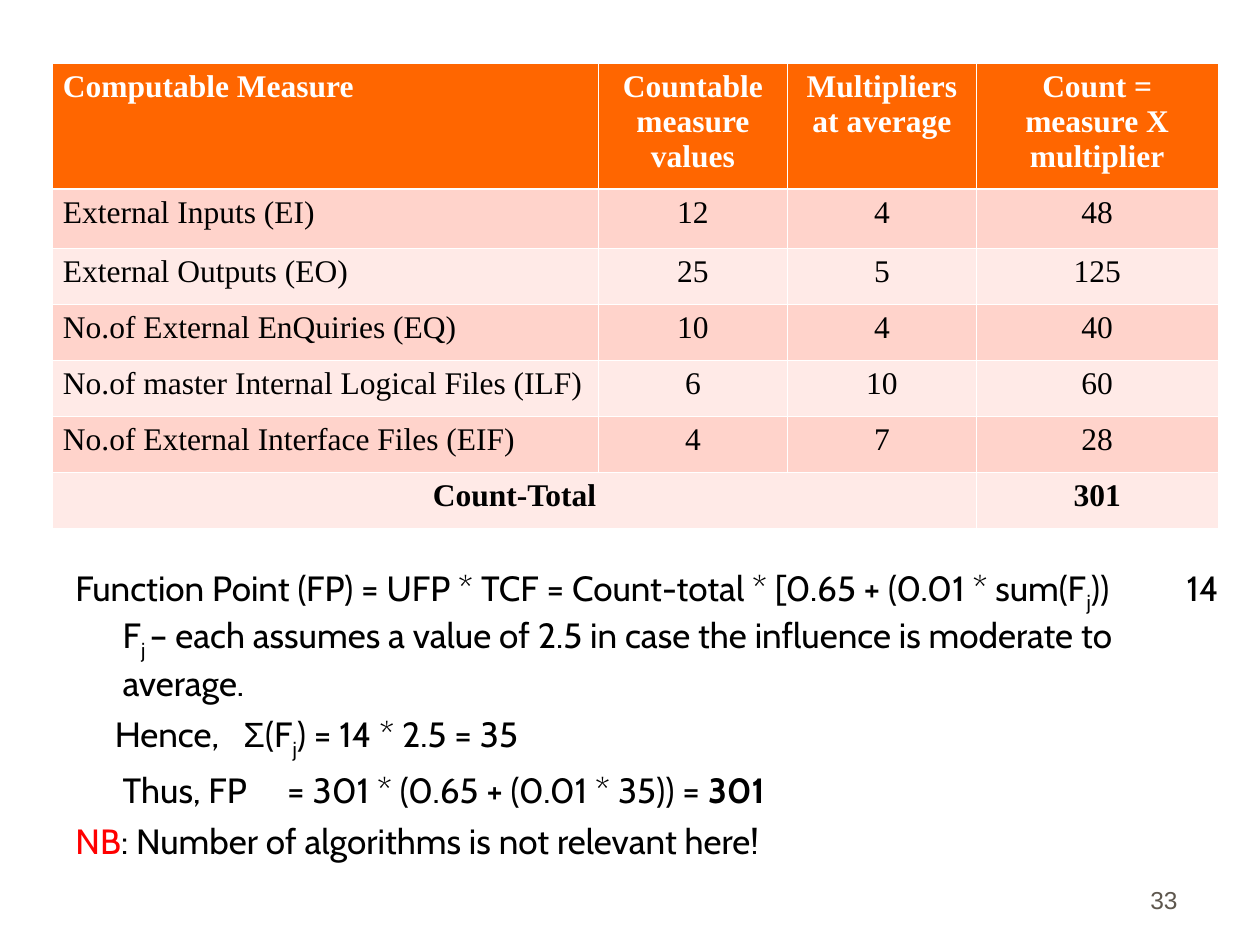
from lxml import etree
from pptx import Presentation, util as u
from pptx.dml import color as c
from pptx.enum import text as t
from pptx.oxml import ns

BLACK, WHITE, RED, GREY = "000000", "FFFFFF", "FF0000", "5E574E"
ORANGE, PINK, PALE = "FF6600", "FFD3CB", "FFEAE7"
LEFT, CENTER, RIGHT = t.PP_ALIGN.LEFT, t.PP_ALIGN.CENTER, t.PP_ALIGN.RIGHT

COLUMNS = [312, 108, 108, 138]
ROWS = [70, 34] + [32] * 5
MEASURES = [
    ["Computable Measure", "Countable measure values", "Multipliers at average",
     "Count = measure X multiplier"],
    ["External Inputs (EI)", "12", "4", "48"],
    ["External Outputs (EO)", "25", "5", "125"],
    ["No.of External EnQuiries (EQ)", "10", "4", "40"],
    ["No.of master Internal Logical Files (ILF)", "6", "10", "60"],
    ["No.of External Interface Files (EIF)", "4", "7", "28"],
    ["Count-Total", "", "", "301"],
]

SUB_J = ("j", {"sub": True})
# Each line: space before, left margin, tab stops, runs
CALCULATION = [
    (0, 0, [635], ["Function Point (FP) = UFP * TCF = Count-total * [0.65 + (0.01 * sum(F",
                   SUB_J, "))\t14"]),
    (0, 27, [], ["F", SUB_J, (" ", {"sub": True}),
                 "– each assumes a value of 2.5 in case the influence is moderate to average."]),
    (5, 0, [22.5, 96], ["\tHence,\t", ("Σ", {"name": "Arial"}), "(F", SUB_J,
                        ") = 14 * 2.5 = 35"]),
    (5, 0, [27, 121], ["\tThus, FP\t= 301 * (0.65 + (0.01 * 35)) = ", ("301", {"bold": True})]),
    (5, 0, [], [("NB", {"color": RED}), ": Number of algorithms is not relevant here!"]),
]


def rgb(hex_):
    return c.RGBColor.from_string(hex_)


def border(cell, side, width):
    """Draw one white edge of a cell; side is L, R, T or B."""
    ln = etree.Element(ns.qn(f"a:ln{side}"), w=str(u.Pt(width)))
    fill = etree.SubElement(ln, ns.qn("a:solidFill"))
    etree.SubElement(fill, ns.qn("a:srgbClr"), val=WHITE)
    cell._tc.get_or_add_tcPr().append(ln)


def set_tabs(p, stops):
    tabs = etree.SubElement(p._p.get_or_add_pPr(), ns.qn("a:tabLst"))
    for stop in stops:
        etree.SubElement(tabs, ns.qn("a:tab"), pos=str(u.Pt(stop)), algn="l")


class Deck:
    body = {"name": "Cabin", "size": u.Pt(20), "bold": False, "color": BLACK}
    cell = {"name": "Times New Roman", "size": u.Pt(18), "bold": False, "color": BLACK}
    number = {"name": "Arial", "size": u.Pt(14), "bold": False, "color": GREY}

    def __init__(self, prs):
        self.s = prs.slides.add_slide(prs.slide_layouts[6])

    def run(self, p, text, style):
        r = p.add_run()
        r.text = text
        for key, value in style.items():
            if key == "color":
                r.font.color.rgb = rgb(value)
            elif key == "sub":
                r._r.get_or_add_rPr().set("baseline", "-25000")
            else:
                setattr(r.font, key, value)

    def box(self, x, y, w, h, anchor=t.MSO_ANCHOR.TOP):
        tf = self.s.shapes.add_textbox(*map(u.Pt, (x, y, w, h))).text_frame
        tf.word_wrap = True
        tf.vertical_anchor = anchor
        return tf

    def lines(self, tf, lines):
        for i, (before, margin, stops, runs) in enumerate(lines):
            p = tf.add_paragraph() if i else tf.paragraphs[0]
            p.space_before = u.Pt(before)
            p._p.get_or_add_pPr().set("marL", str(u.Pt(margin)))
            if stops:
                set_tabs(p, stops)
            for item in runs:
                text, extra = (item, {}) if isinstance(item, str) else item
                self.run(p, text, {**self.body, **extra})

    def page_number(self, text, *place):
        p = self.box(*place, anchor=t.MSO_ANCHOR.BOTTOM).paragraphs[0]
        p.alignment = RIGHT
        self.run(p, text, self.number)

    def table(self, x, y, widths, heights, rows):
        place = map(u.Pt, (x, y, sum(widths), sum(heights)))
        tbl = self.s.shapes.add_table(len(rows), len(widths), *place).table
        tbl.first_row = tbl.horz_banding = False
        for col, width in zip(tbl.columns, widths):
            col.width = u.Pt(width)
        for row, height in zip(tbl.rows, heights):
            row.height = u.Pt(height)
        last = len(rows) - 1
        tbl.cell(last, 0).merge(tbl.cell(last, len(widths) - 2))
        for i, row in enumerate(rows):
            for j, text in enumerate(row):
                self.table_cell(tbl.cell(i, j), text, i, j, last)

    def table_cell(self, cell, text, i, j, last):
        cell.margin_left = cell.margin_right = u.Pt(6)
        for side in "LRTB":
            heavy = (i, side) in ((0, "B"), (1, "T"))
            border(cell, side, 1.5 if heavy else 0.5)
        cell.fill.solid()
        cell.fill.fore_color.rgb = rgb(ORANGE if i == 0 else PINK if i % 2 else PALE)
        if text:
            p = cell.text_frame.paragraphs[0]
            p.alignment = LEFT if j == 0 and i < last else CENTER
            self.run(p, text, {**self.cell, "bold": i in (0, last),
                               "color": BLACK if i else WHITE})


def main():
    prs = Presentation()
    prs.slide_width, prs.slide_height = u.Pt(720), u.Pt(540)
    deck = Deck(prs)
    deck.lines(deck.box(36, 320, 672, 172), CALCULATION)
    deck.page_number("33", 530, 490, 150, 36)
    deck.table(30, 36, COLUMNS, ROWS, MEASURES)
    prs.save("out.pptx")


if __name__ == "__main__":
    main()
